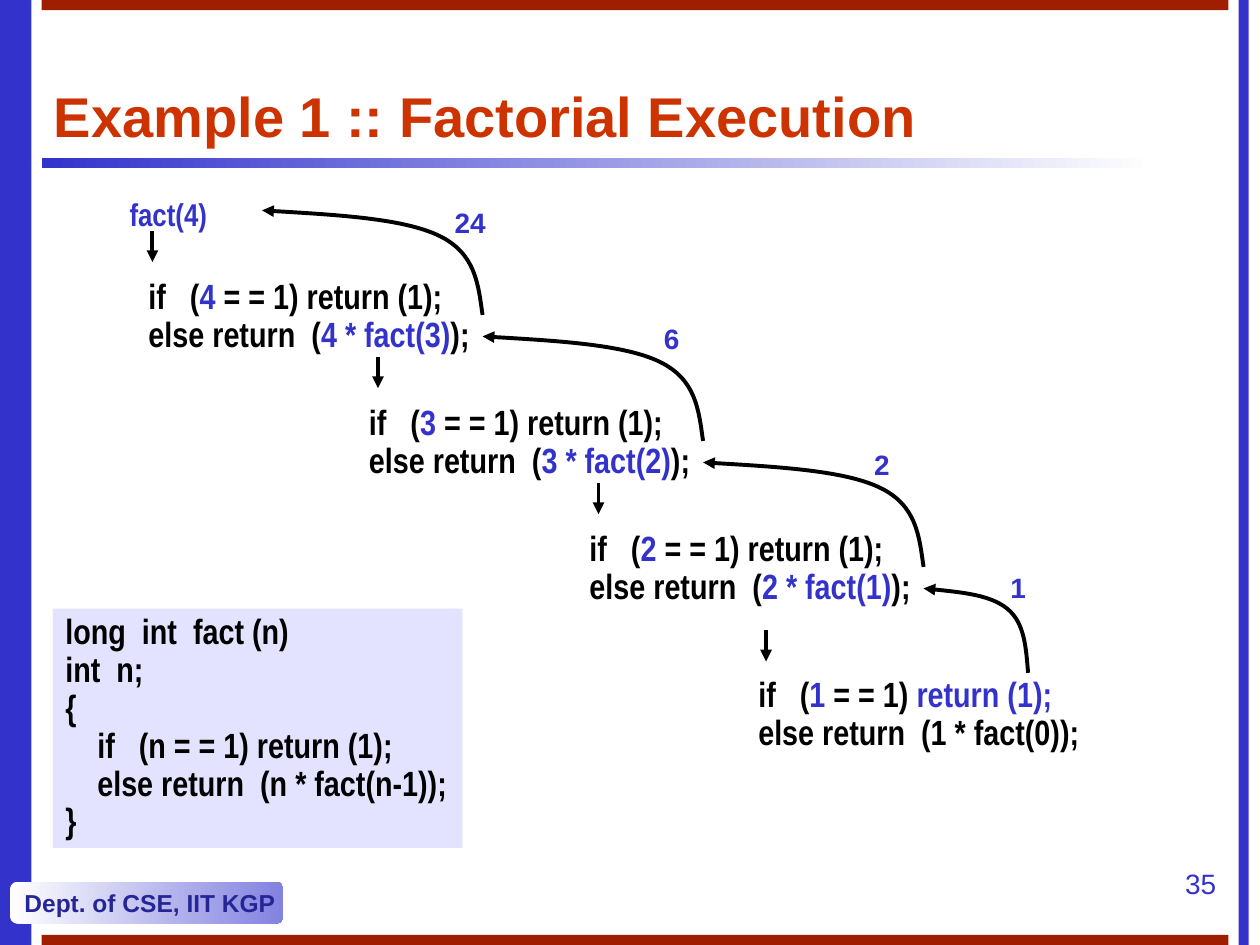
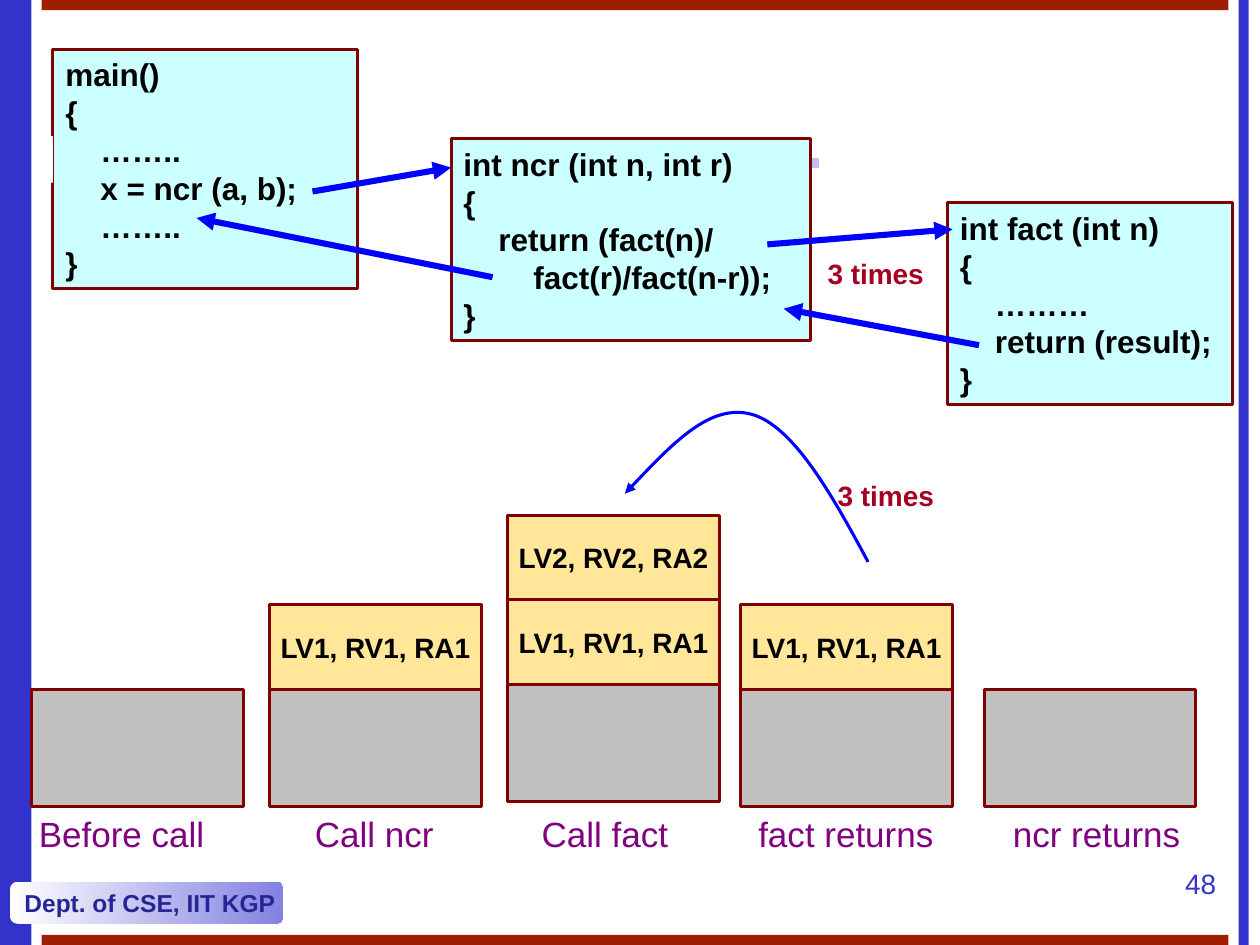
from dataclasses import dataclass
from typing import NamedTuple

from lxml.etree import SubElement
from pptx import Presentation
from pptx.dml.color import RGBColor as Rgb
from pptx.enum.shapes import MSO_CONNECTOR as Link, MSO_SHAPE as Kind
from pptx.enum.text import MSO_ANCHOR as Anchor, PP_ALIGN as Align
from pptx.oxml.ns import qn
from pptx.util import Inches, Pt


@dataclass(frozen=True)
class Theme:
    blue: str = "3333CC"
    brick: str = "A01E00"
    orange: str = "CC3300"
    navy: str = "252595"
    mist: str = "8282E0"
    lilac: str = "E3E3FF"
    cyan: str = "CCFFFF"
    maroon: str = "800000"
    gray: str = "C0C0C0"
    sand: str = "FFE699"
    purple: str = "800080"
    crimson: str = "A50021"
    bright: str = "0000FF"
    black: str = "000000"
    white: str = "FFFFFF"
    sans: str = "Arial"
    narrow: str = "Arial Narrow"
    title: float = 32
    large: float = 20
    code: float = 18
    note: float = 16
    foot: float = 14
    edge: float = 1.75
    stroke: float = 2.25
    thick: float = 3.5


T = Theme()


class Box(NamedTuple):
    left: float
    top: float
    width: float
    height: float


class Style(NamedTuple):
    size: float
    color: str = T.black
    bold: bool = True
    font: str = T.sans
    align: Align = Align.LEFT
    anchor: Anchor = Anchor.TOP
    wrap: bool = True
    lead: float = 1.0


class Arrow(NamedTuple):
    x1: float
    y1: float
    x2: float
    y2: float


class Stack(NamedTuple):
    left: float
    base: float
    cells: tuple[str, ...]
    label: str
    start: float


CODE = Style(T.large, font=T.narrow, lead=0.9)
CALL = Style(T.code, T.blue, font=T.narrow, wrap=False)
BODY = Style(T.code)
VALUE = Style(T.note, T.blue)
TIMES = Style(T.note, T.crimson)
CELL = Style(T.note, align=Align.CENTER, anchor=Anchor.MIDDLE, wrap=False)
LABEL = Style(T.large, T.purple, bold=False)
TITLE = Style(T.title, T.orange, anchor=Anchor.MIDDLE)
FOOT = Style(T.foot, T.navy, anchor=Anchor.MIDDLE, wrap=False)
PAGE = Style(T.note, T.blue, bold=False, align=Align.RIGHT)

BARS = (
    (Box(0, 0, 0.25, 7.5), T.blue),
    (Box(9.83, 0, 0.08, 7.5), T.blue),
    (Box(0.33, 0, 9.42, 0.08), T.brick),
    (Box(0.33, 7.42, 9.42, 0.08), T.brick),
)
BEND = ((1, 1), (0.98, 0.71), (0.97, 0.41), (0.8, 0.24),
        (0.64, 0.08), (0.32, 0.04), (0, 0))
ARCH = ((1, 1), (0.85, 0.57), (0.69, 0.14), (0.52, 0.07),
        (0.35, 0), (0.18, 0.28), (0, 0.57))

FACT = """long  int  fact (n)
int  n;
{
    if   (n = = 1) return (1);
    else return  (n * fact(n-1));
}"""
BLOCKS = (
    (Box(0.42, 0.39, 2.42, 1.9), """main()
{
    ……..
    x = ncr (a, b);
    ……..
}"""),
    (Box(3.58, 1.1, 2.85, 1.6), """int ncr (int n, int r)
{
    return (fact(n)/
        fact(r)/fact(n-r));
}"""),
    (Box(7.52, 1.61, 2.26, 1.6), """int fact (int n)
{
    ………
    return (result);
}"""),
)
JUMPS = (
    Arrow(2.48, 1.52, 3.58, 1.33),
    Arrow(3.91, 2.2, 1.56, 1.73),
    Arrow(6.09, 1.94, 7.56, 1.82),
    Arrow(7.77, 2.74, 6.22, 2.45),
)
FIRST, NEXT = "LV1, RV1, RA1", "LV2, RV2, RA2"
STACKS = (
    Stack(0.25, 5.47, (), "Before call", 0.21),
    Stack(2.14, 5.47, (FIRST,), "Call ncr", 2.4),
    Stack(4.03, 5.43, (FIRST, NEXT), "Call fact", 4.2),
    Stack(5.88, 5.47, (FIRST,), "fact returns", 5.92),
    Stack(7.81, 5.47, (), "ncr returns", 7.94),
)
PATCHES = (Box(0.3, 1.08, 0.12, 0.37), Box(6.5, 1.08, 2.58, 0.37))
GAP = Box(2.75, 1.08, 0.83, 0.37)


def place(box: Box) -> list:
    return [Inches(n) for n in box]


def write(shape, text: str, style: Style) -> None:
    frame = shape.text_frame
    frame.word_wrap = style.wrap
    frame.vertical_anchor = style.anchor
    for i, line in enumerate(text.split("\n")):
        para = frame.paragraphs[0] if i == 0 else frame.add_paragraph()
        para.alignment = style.align
        para.line_spacing = style.lead
        for j, part in enumerate(line.split("|")):
            if not part:
                continue
            run = para.add_run()
            run.text = part
            run.font.name = style.font
            run.font.size = Pt(style.size)
            run.font.bold = style.bold
            color = T.blue if j % 2 else style.color
            run.font.color.rgb = Rgb.from_string(color)


def label(slide, box: Box, text: str, style: Style) -> None:
    write(slide.shapes.add_textbox(*place(box)), text, style)


def panel(slide, box: Box, fill: str, edge: str = "", kind: Kind = Kind.RECTANGLE):
    shape = slide.shapes.add_shape(kind, *place(box))
    shape.shadow.inherit = False
    shape.fill.solid()
    shape.fill.fore_color.rgb = Rgb.from_string(fill)
    if edge:
        shape.line.color.rgb = Rgb.from_string(edge)
        shape.line.width = Pt(T.edge)
    else:
        shape.line.fill.background()
    return shape


def fade(shape, start: str, end: str) -> None:
    shape.fill.gradient()
    shape.fill.gradient_angle = 0
    for stop, color in zip(shape.fill.gradient_stops, (start, end)):
        stop.color.rgb = Rgb.from_string(color)


def point(shape, color: str, width: float) -> None:
    shape.line.color.rgb = Rgb.from_string(color)
    shape.line.width = Pt(width)
    SubElement(shape.line._get_or_add_ln(), qn("a:tailEnd"), type="triangle")


def arrow(slide, ends: Arrow, color: str, width: float) -> None:
    line = slide.shapes.add_connector(Link.STRAIGHT, *[Inches(n) for n in ends])
    point(line, color, width)
    SubElement(line._element.spPr, qn("a:effectLst"))


def curve(slide, box: Box, form: tuple, color: str, width: float) -> None:
    dots = [(Inches(box.left + box.width * x), Inches(box.top + box.height * y))
            for x, y in form]
    pen = slide.shapes.build_freeform(*dots[0])
    pen.add_line_segments(dots[1:], close=False)
    shape = pen.convert_to_shape()
    shape.shadow.inherit = False
    shape.fill.background()
    point(shape, color, width)
    track = next(shape._element.iter(qn("a:path")))
    steps = track.findall(qn("a:lnTo"))
    for i in range(0, len(steps), 3):
        bend = SubElement(track, qn("a:cubicBezTo"))
        for step in steps[i:i + 3]:
            bend.append(step[0])
            track.remove(step)


def base(deck, page: int):
    slide = deck.slides.add_slide(deck.slide_layouts[6])
    for box, color in BARS:
        panel(slide, box, color)
    fade(panel(slide, Box(0.33, 1.25, 8.83, 0.08), T.blue), T.blue, T.white)
    badge = panel(slide, Box(0.08, 7, 2.17, 0.33), T.mist, kind=Kind.ROUNDED_RECTANGLE)
    fade(badge, T.white, T.mist)
    write(badge, "Dept. of CSE, IIT KGP", FOOT)
    label(slide, Box(9.17, 6.83, 0.58, 0.5), str(page), PAGE)
    return slide


def trace(deck) -> None:
    slide = base(deck, 35)
    label(slide, Box(0.33, 0.58, 9.42, 0.67), "Example 1 :: Factorial Execution", TITLE)
    label(slide, Box(0.93, 1.5, 0.82, 0.4), "fact(4)", CALL)
    for i, n in enumerate((4, 3, 2)):
        text = f"if   (|{n}| = = 1) return (1);\nelse return  (|{n} * fact({n - 1})|);"
        label(slide, Box(1.08 + 1.75 * i, 2.17 + i, 3, 0.7), text, CODE)
        curve(slide, Box(2.08 + 1.75 * i, 1.67 + i, 1.75, 0.83), BEND, T.black, T.stroke)
    label(slide, Box(5.92, 5.33, 3, 0.7),
          "if   (|1| = = 1) |return (1);|\nelse return  (1 * fact(0));", CODE)
    curve(slide, Box(7.33, 4.67, 0.83, 0.67), BEND, T.black, T.stroke)
    for x, y in ((1.21, 1.83), (3, 2.83), (4.75, 3.83), (6.08, 5)):
        arrow(slide, Arrow(x, y, x, y + 0.25), T.black, T.stroke)
    for text, x, y in (("24", 3.51, 1.58), ("6", 5.17, 2.5),
                       ("2", 6.84, 3.5), ("1", 7.92, 4.48)):
        label(slide, Box(x, y, 0.5, 0.37), text, VALUE)
    write(panel(slide, Box(0.42, 4.83, 3.25, 1.9), T.lilac), FACT, CODE)


def pile(slide, stack: Stack) -> None:
    panel(slide, Box(stack.left, stack.base, 1.68, 0.93), T.gray, T.maroon)
    for i, text in enumerate(stack.cells, 1):
        box = Box(stack.left, stack.base - 0.67 * i, 1.68, 0.67)
        write(panel(slide, box, T.sand, T.maroon), text, CELL)
    label(slide, Box(stack.start, 6.4, 1.6, 0.44), stack.label, LABEL)


def calls(deck) -> None:
    slide = base(deck, 48)
    panel(slide, GAP, T.white)
    for box, text in BLOCKS:
        write(panel(slide, box, T.cyan, T.maroon), text, BODY)
    for jump in JUMPS:
        arrow(slide, jump, T.bright, T.thick)
    for stack in STACKS:
        pile(slide, stack)
    curve(slide, Box(4.96, 3.2, 1.93, 1.26), ARCH, T.bright, T.edge)
    for x, y in ((6.47, 1.99), (6.55, 3.75)):
        label(slide, Box(x, y, 1.43, 0.37), "3 times", TIMES)
    for patch in PATCHES:
        panel(slide, patch, T.white)


def main() -> None:
    deck = Presentation()
    deck.slide_width, deck.slide_height = Inches(10), Inches(7.5)
    trace(deck)
    calls(deck)
    deck.save("out.pptx")


if __name__ == "__main__":
    main()
